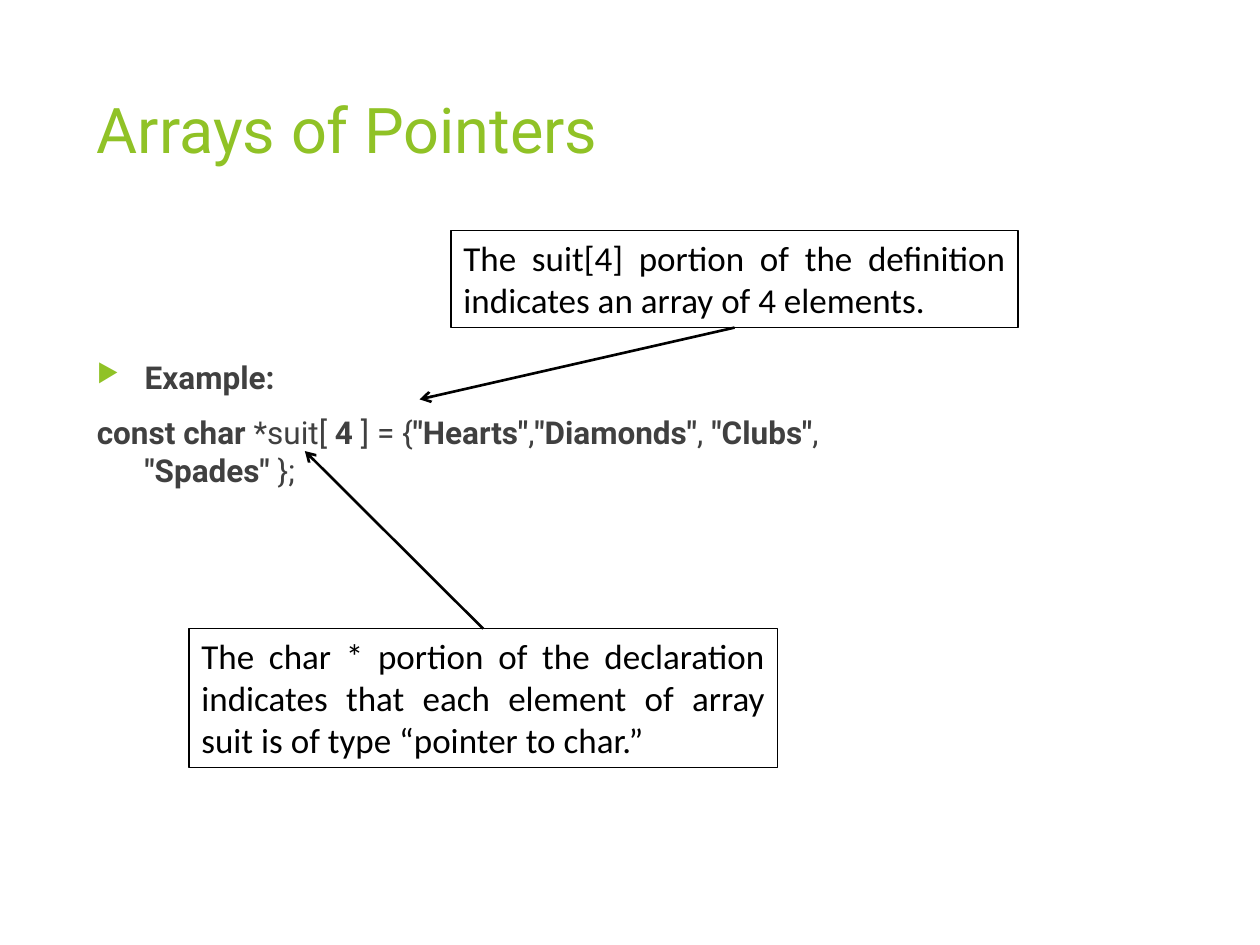
from dataclasses import dataclass

from lxml import etree
from pptx import Presentation
from pptx.dml.color import RGBColor
from pptx.enum.shapes import MSO_CONNECTOR, MSO_SHAPE
from pptx.enum.text import MSO_ANCHOR, PP_ALIGN
from pptx.oxml.ns import qn
from pptx.util import Inches, Pt


@dataclass(frozen=True)
class Theme:
    accent: str = "90C226"
    body: str = "404040"
    ink: str = "000000"
    font: str = "Roboto"
    note_font: str = "Calibri"
    title_size: int = 36
    body_size: int = 18
    note_size: int = 20


THEME = Theme()

# Content: each paragraph is a list of (text, bold) spans
TITLE = "Arrays of Pointers"
EXAMPLE = [("Example:", True)]
CODE = [
    ("const char ", True), ("*suit[ ", False), ("4 ", True), ("] = {", False),
    ('"Hearts"', True), (",", False), ('"Diamonds"', True), (", \t", False),
    ('"Clubs"', True), (", ", False), ('"Spades" ', True), ("};", False),
]
# Callouts: text, box (left, top, width, height), joined side, arrow target
BOTTOM, TOP = 2, 0
CALLOUTS = [
    ("The suit[4] portion of the definition indicates an array of 4 elements.",
     (3.58, 1.83, 4.5, 0.77), BOTTOM, (3.33, 3.17)),
    ("The char * portion of the declaration indicates that each element of "
     "array suit is of type “pointer to char.”",
     (1.5, 4.99, 4.67, 1.1), TOP, (2.42, 3.58)),
]


def write(para, text, *, size, color, font=THEME.font, bold=False):
    span = para.add_run()
    span.text = text
    span.font.size = Pt(size)
    span.font.name = font
    span.font.bold = bold
    span.font.color.rgb = RGBColor.from_string(color)


def add_text_box(page, left, top, width, height):
    box = page.shapes.add_textbox(*map(Inches, (left, top, width, height)))
    box.text_frame.word_wrap = True
    return box.text_frame


def hang(para, bullet=None):
    """Give a paragraph a hanging indent and, if wanted, a bullet."""
    props = para._p.get_or_add_pPr()
    props.set("marL", str(Inches(0.38)))
    props.set("indent", str(-Inches(0.38)))
    if bullet:
        color = etree.SubElement(props, qn("a:buClr"))
        etree.SubElement(color, qn("a:srgbClr"), val=THEME.accent)
        etree.SubElement(props, qn("a:buSzPct"), val="80000")
        etree.SubElement(props, qn("a:buChar"), char=bullet)


def add_callout(page, text, place, side, target):
    box = page.shapes.add_shape(MSO_SHAPE.RECTANGLE, *map(Inches, place))
    box.shadow.inherit = False
    box.fill.background()
    box.line.color.rgb = RGBColor.from_string(THEME.ink)
    box.line.width = Pt(0.75)
    frame = box.text_frame
    frame.word_wrap = True
    frame.vertical_anchor = MSO_ANCHOR.TOP
    para = frame.paragraphs[0]
    para.alignment = PP_ALIGN.JUSTIFY
    write(para, text, size=THEME.note_size, color=THEME.ink, font=THEME.note_font)

    # Arrow from the box to the code
    end = tuple(map(Inches, target))
    arrow = page.shapes.add_connector(MSO_CONNECTOR.STRAIGHT, *end, *end)
    arrow.begin_connect(box, side)
    arrow.line.color.rgb = RGBColor.from_string(THEME.ink)
    arrow.line.width = Pt(1.5)
    etree.SubElement(arrow.line._get_or_add_ln(), qn("a:tailEnd"), type="arrow")
    etree.SubElement(arrow._element.spPr, qn("a:effectLst"))


def main():
    deck = Presentation()
    deck.slide_width, deck.slide_height = Inches(10), Inches(7.5)
    page = deck.slides.add_slide(deck.slide_layouts[6])

    # Title
    title = add_text_box(page, 0.67, 0.67, 6.94, 1.44)
    write(title.paragraphs[0], TITLE, size=THEME.title_size, color=THEME.accent)

    # Example and code
    body = add_text_box(page, 0.67, 2.79, 6.94, 3.81)
    example, code = body.paragraphs[0], body.add_paragraph()
    hang(example, bullet="▶")
    hang(code)
    code.space_before = Pt(10)
    for para, spans in ((example, EXAMPLE), (code, CODE)):
        for text, bold in spans:
            write(para, text, size=THEME.body_size, color=THEME.body, bold=bold)

    # Callouts
    for callout in CALLOUTS:
        add_callout(page, *callout)

    deck.save("out.pptx")


if __name__ == "__main__":
    main()
